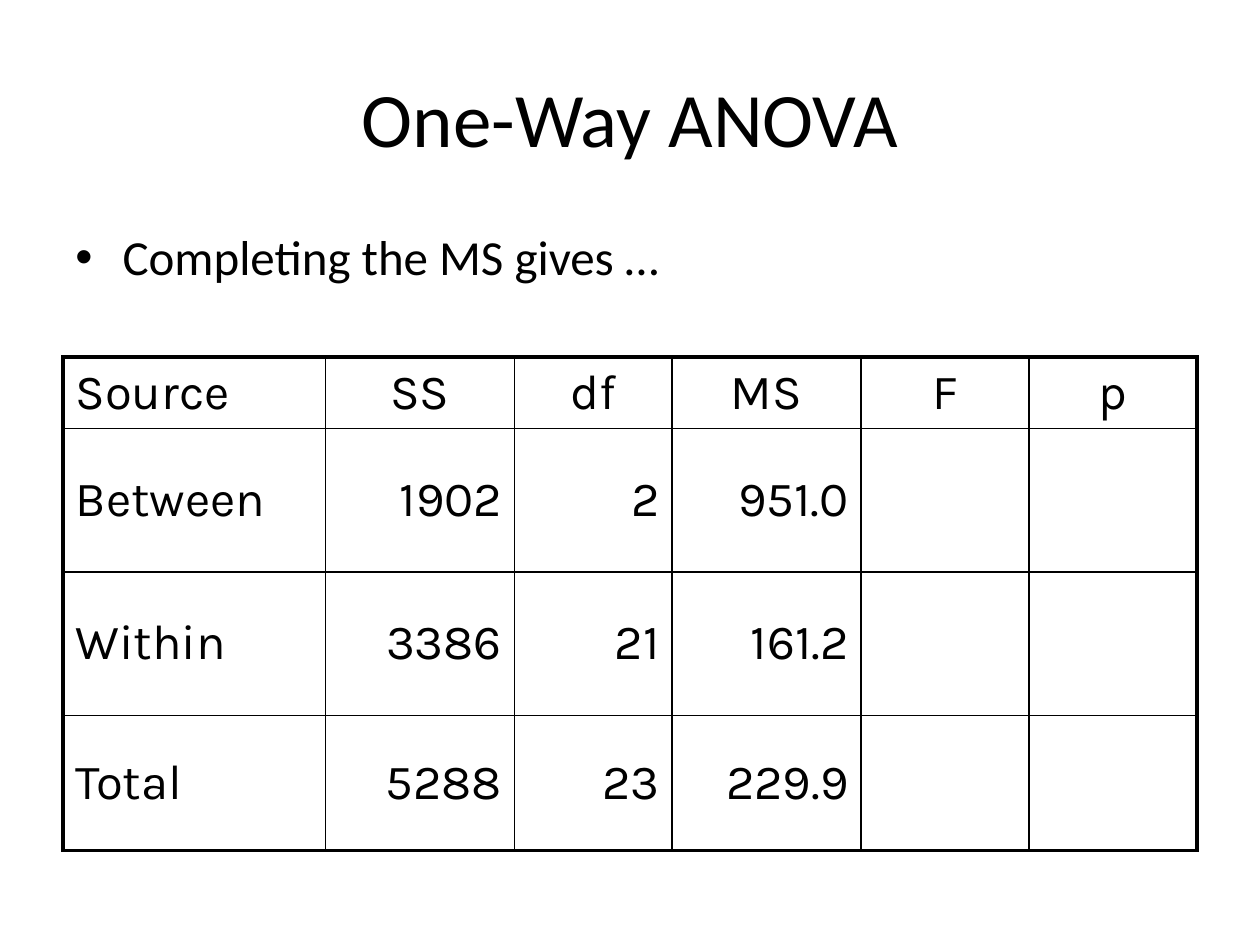
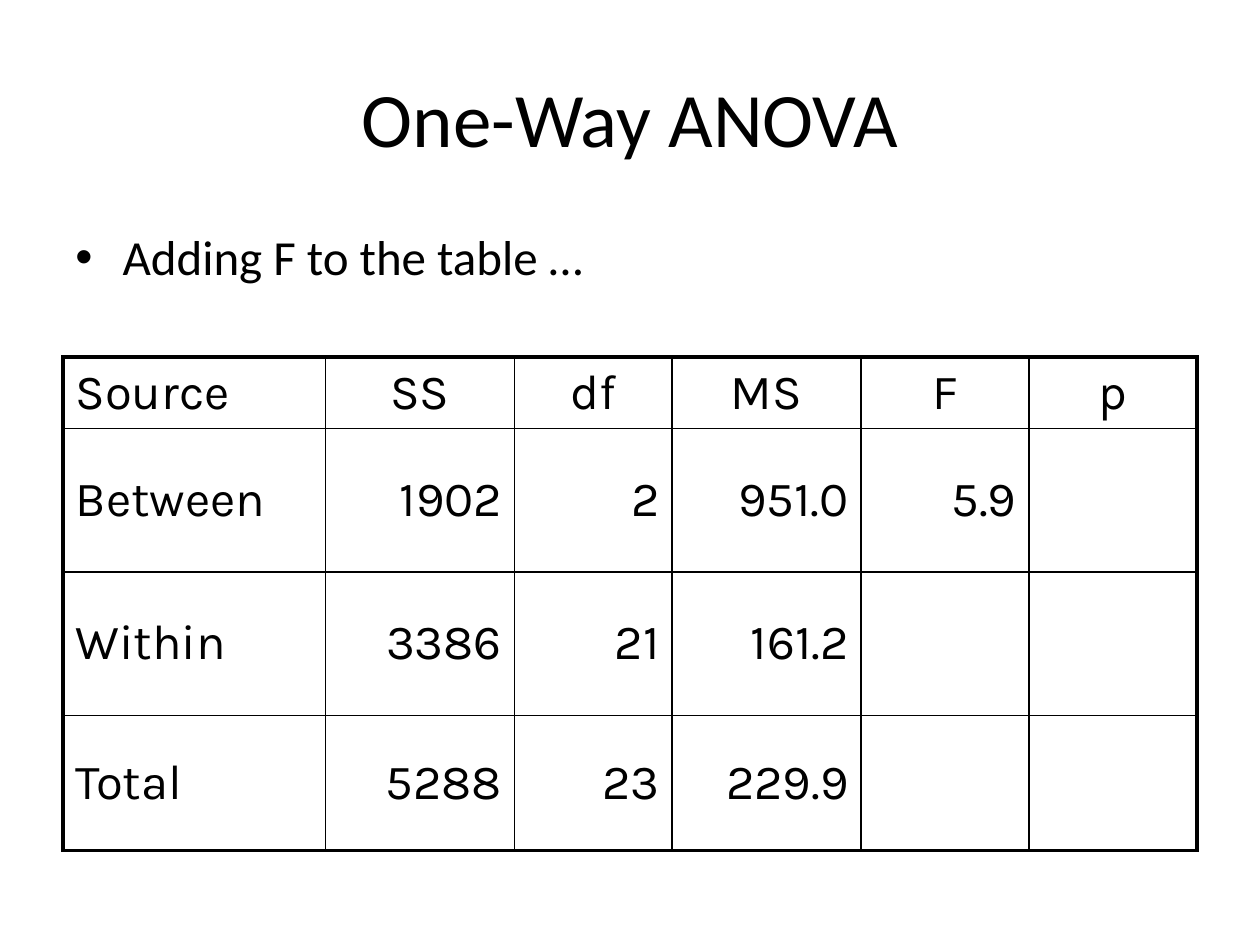
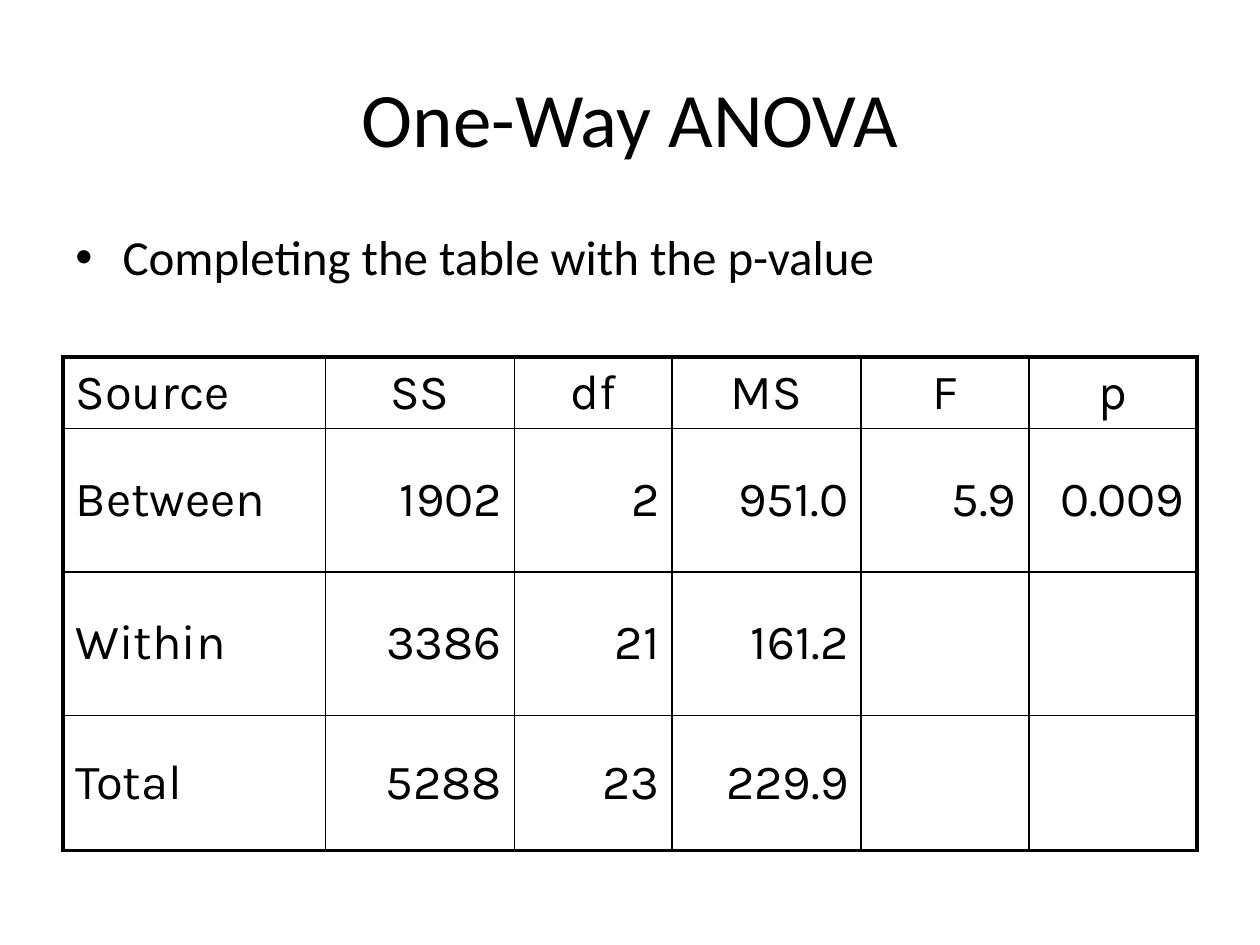
import lxml.etree
import pptx
import pptx.dml.color
import pptx.enum.text
import pptx.oxml
import pptx.oxml.ns
import pptx.util

COLORS = {"ink": "000000", "paper": "FFFFFF"}
FONTS = {"text": "Calibri", "table": "Karla"}
COLUMN_COUNT, ROW_COUNT = 120, 90
MARGIN, CONTENT_WIDTH = 6, 108
TABLE_TOP = 34
TABLE_COLUMNS = [25, 18, 15, 18, 16, 16]
TABLE_ROWS = [6.8, 13.66, 13.66, 12.86]
THIN, THICK = 1, 2.25
ALIGN = pptx.enum.text.PP_ALIGN
ANCHOR = pptx.enum.text.MSO_ANCHOR

HEADER = ["Source", "SS", "df", "MS", "F", "p"]
SOURCES = [
    ["Between", "1902", "2", "951.0"],
    ["Within", "3386", "21", "161.2"],
    ["Total", "5288", "23", "229.9"],
]
STEPS = [
    ("Completing the MS gives …", []),
    ("Adding F to the table …", ["5.9"]),
    ("Completing the table with the p-value", ["5.9", "0.009"]),
]


def color(name):
    return pptx.dml.color.RGBColor.from_string(COLORS[name])


class Deck:
    def __init__(self):
        self.presentation = pptx.Presentation()
        self.presentation.slide_width = pptx.util.Inches(10)
        self.presentation.slide_height = pptx.util.Inches(7.5)
        self.slide = None

    def across(self, columns):
        return round(self.presentation.slide_width * columns / COLUMN_COUNT)

    def down(self, rows):
        return round(self.presentation.slide_height * rows / ROW_COUNT)

    def box(self, left, top, width, height):
        return self.across(left), self.down(top), self.across(width), self.down(height)

    def add_slide(self):
        self.slide = self.presentation.slides.add_slide(self.presentation.slide_layouts[5])
        self.slide.background.fill.solid()
        self.slide.background.fill.fore_color.rgb = color("paper")

    def style(self, paragraph, size, font, alignment):
        paragraph.alignment = alignment
        paragraph.font.size = pptx.util.Pt(size)
        paragraph.font.name = FONTS[font]
        paragraph.font.color.rgb = color("ink")

    def title(self, text):
        shape = self.slide.shapes.title
        shape.left, shape.top, shape.width, shape.height = self.box(MARGIN, 3.6, CONTENT_WIDTH, 15)
        shape.text_frame.text = text
        shape.text_frame.vertical_anchor = ANCHOR.MIDDLE
        self.style(shape.text_frame.paragraphs[0], 44, "text", ALIGN.CENTER)

    def bullet(self, text):
        shape = self.slide.shapes.add_textbox(*self.box(MARGIN, 21, CONTENT_WIDTH, 9))
        shape.text_frame.word_wrap = True
        paragraph = shape.text_frame.paragraphs[0]
        paragraph.text = text
        properties = paragraph._p.get_or_add_pPr()
        indent = self.across(4.5)
        properties.set("marL", str(indent))
        properties.set("indent", str(-indent))
        namespace = pptx.oxml.ns.nsdecls("a")
        for markup in (
            f'<a:buClr {namespace}><a:srgbClr val="{COLORS["ink"]}"/></a:buClr>',
            f'<a:buFont {namespace} typeface="Arial"/>',
            f'<a:buChar {namespace} char="•"/>',
        ):
            properties.append(pptx.oxml.parse_xml(markup))
        self.style(paragraph, 28, "text", ALIGN.LEFT)

    def borders(self, cell, widths):
        properties = cell._tc.get_or_add_tcPr()
        for position, (side, width) in enumerate(widths.items()):
            line = lxml.etree.Element(
                pptx.oxml.ns.qn(f"a:ln{side}"), w=str(pptx.util.Pt(width)))
            fill = lxml.etree.SubElement(line, pptx.oxml.ns.qn("a:solidFill"))
            lxml.etree.SubElement(fill, pptx.oxml.ns.qn("a:srgbClr"), val=COLORS["ink"])
            properties.insert(position, line)

    def table(self, rows):
        last_row, last_column = len(TABLE_ROWS) - 1, len(TABLE_COLUMNS) - 1
        shape = self.slide.shapes.add_table(
            len(TABLE_ROWS), len(TABLE_COLUMNS),
            *self.box(MARGIN, TABLE_TOP, sum(TABLE_COLUMNS), sum(TABLE_ROWS)))
        table = shape.table
        table.first_row = table.horz_banding = False
        for column, width in zip(table.columns, TABLE_COLUMNS):
            column.width = self.across(width)
        for row, height in zip(table.rows, TABLE_ROWS):
            row.height = self.down(height)
        for row, texts in enumerate(rows):
            for column in range(len(TABLE_COLUMNS)):
                cell = table.cell(row, column)
                cell.fill.solid()
                cell.fill.fore_color.rgb = color("paper")
                self.borders(cell, {
                    "L": THIN if column else THICK,
                    "R": THICK if column == last_column else THIN,
                    "T": THIN if row else THICK,
                    "B": THICK if row == last_row else THIN,
                })
                if column < len(texts):
                    cell.text = texts[column]
                    cell.vertical_anchor = ANCHOR.MIDDLE
                    number_alignment = ALIGN.RIGHT if row else ALIGN.CENTER
                    self.style(cell.text_frame.paragraphs[0], 28, "table",
                               number_alignment if column else ALIGN.LEFT)


def main():
    deck = Deck()
    between, *others = SOURCES
    for statement, results in STEPS:
        deck.add_slide()
        deck.title("One-Way ANOVA")
        deck.bullet(statement)
        deck.table([HEADER, between + results, *others])
    deck.presentation.save("out.pptx")


if __name__ == "__main__":
    main()
